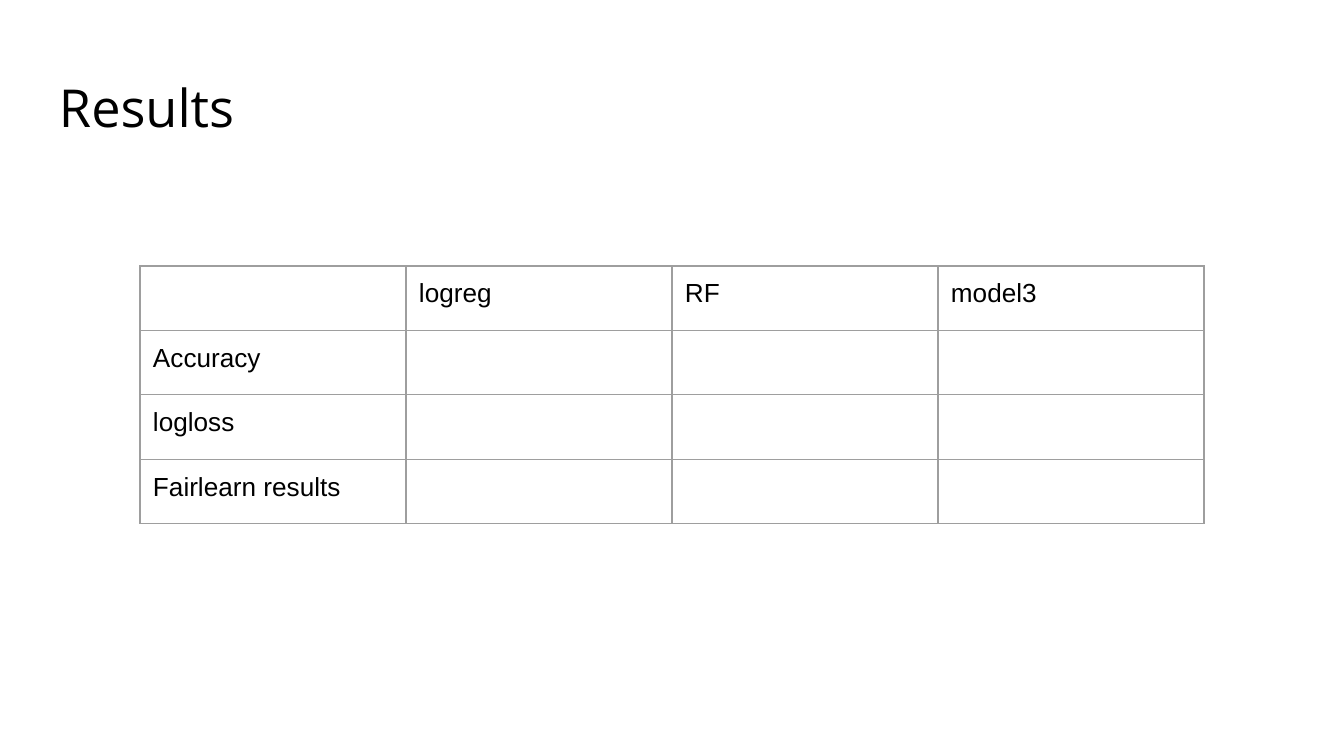
"""Build the results slide: a title above an empty table of model scores."""
import pptx
import pptx.dml.color
import pptx.enum.text
import pptx.oxml
import pptx.oxml.ns
import pptx.util

TITLE = "Results"
MODELS = ["logreg", "RF", "model3"]
SCORES = ["Accuracy", "logloss", "Fairlearn results"]
COLORS = {"text": "000000", "line": "9E9E9E", "back": "FFFFFF"}
SLIDE = (1344, 756)
HEAD = (46, 66, 1252, 85)
GRID = (140, 266, 1064, 258)
PAD = 13
HEAD_PAD = 9
SCALE = 914400 / 134.4


def px(n):
    return pptx.util.Emu(round(n * SCALE))


def rgb(name):
    return pptx.dml.color.RGBColor.from_string(COLORS[name])


def write(frame, text, font="Arial", size=14, color="text"):
    para = frame.paragraphs[0]
    para.alignment = pptx.enum.text.PP_ALIGN.LEFT
    if not text:
        end = para._p.get_or_add_endParaRPr()
        end.set("sz", str(size * 100))
        return
    run = para.add_run()
    run.text = text
    run.font.name = font
    run.font.size = pptx.util.Pt(size)
    run.font.bold = False
    run.font.color.rgb = rgb(color)


def border(cell):
    props = cell._tc.get_or_add_tcPr()
    space = pptx.oxml.ns.nsdecls("a")
    width = pptx.util.Pt(0.75)
    for i, side in enumerate(("lnL", "lnR", "lnT", "lnB")):
        line = pptx.oxml.parse_xml(
            f'<a:{side} {space} w="{width}"><a:solidFill>'
            f'<a:srgbClr val="{COLORS["line"]}"/></a:solidFill></a:{side}>'
        )
        props.insert(i, line)


def place(shape, box):
    shape.left, shape.top, shape.width, shape.height = map(px, box)


def main():
    deck = pptx.Presentation()
    deck.slide_width, deck.slide_height = map(px, SLIDE)
    slide = deck.slides.add_slide(deck.slide_layouts[5])
    slide.background.fill.solid()
    slide.background.fill.fore_color.rgb = rgb("back")

    title = slide.shapes.title
    place(title, HEAD)
    frame = title.text_frame
    frame.word_wrap = True
    frame.auto_size = pptx.enum.text.MSO_AUTO_SIZE.NONE
    frame.vertical_anchor = pptx.enum.text.MSO_ANCHOR.TOP
    frame.margin_left = frame.margin_right = px(PAD)
    frame.margin_top = frame.margin_bottom = px(HEAD_PAD)
    write(frame, TITLE, font="Open Sans", size=28)

    rows = [["", *MODELS]] + [[score] + [""] * len(MODELS) for score in SCORES]
    table = slide.shapes.add_table(len(rows), len(rows[0]), *map(px, GRID)).table
    table.first_row = table.horz_banding = False
    for r, row in enumerate(rows):
        for c, text in enumerate(row):
            cell = table.cell(r, c)
            cell.margin_left = cell.margin_right = px(PAD)
            cell.margin_top = cell.margin_bottom = px(PAD)
            cell.fill.background()
            border(cell)
            write(cell.text_frame, text)

    deck.save("out.pptx")


if __name__ == "__main__":
    main()
